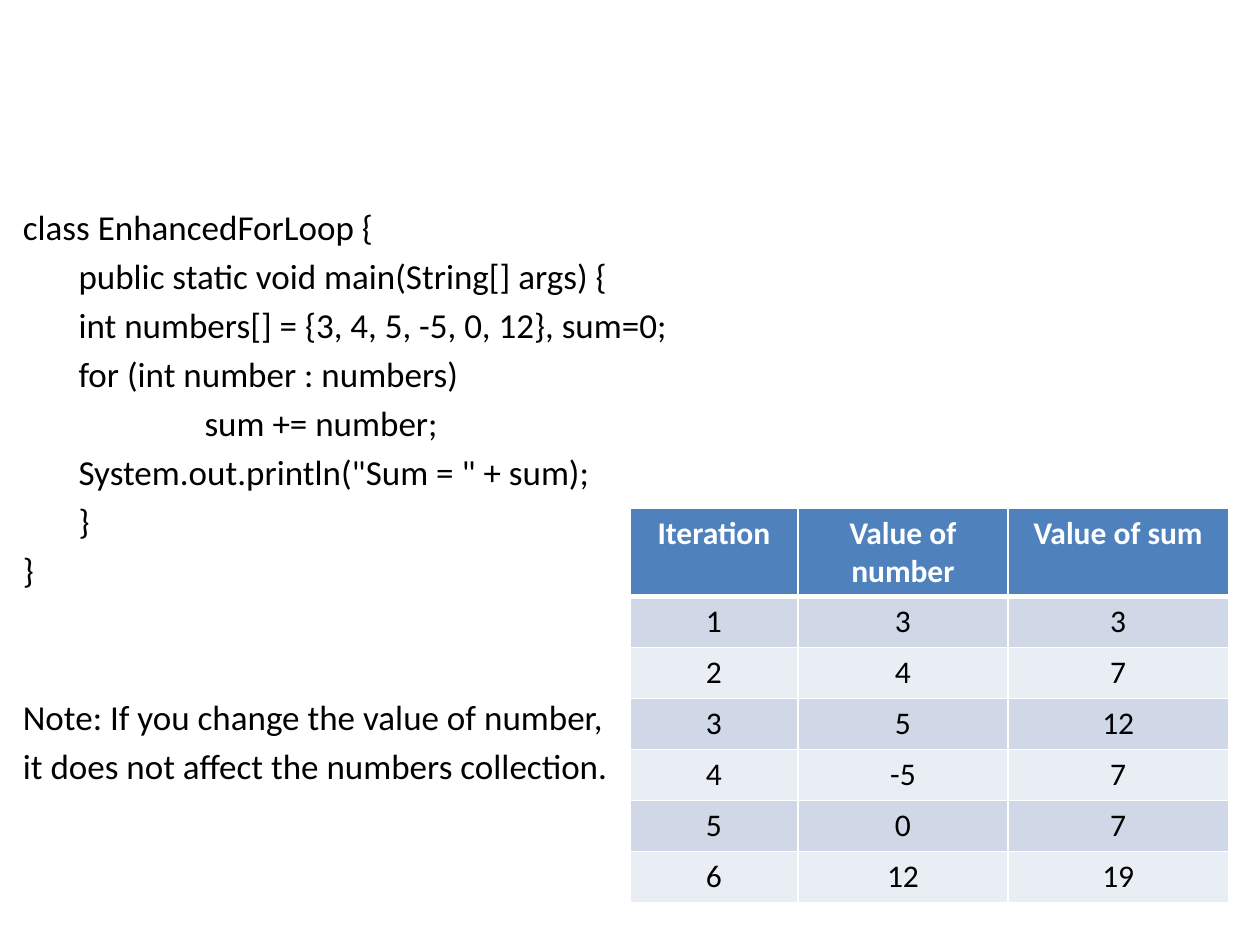
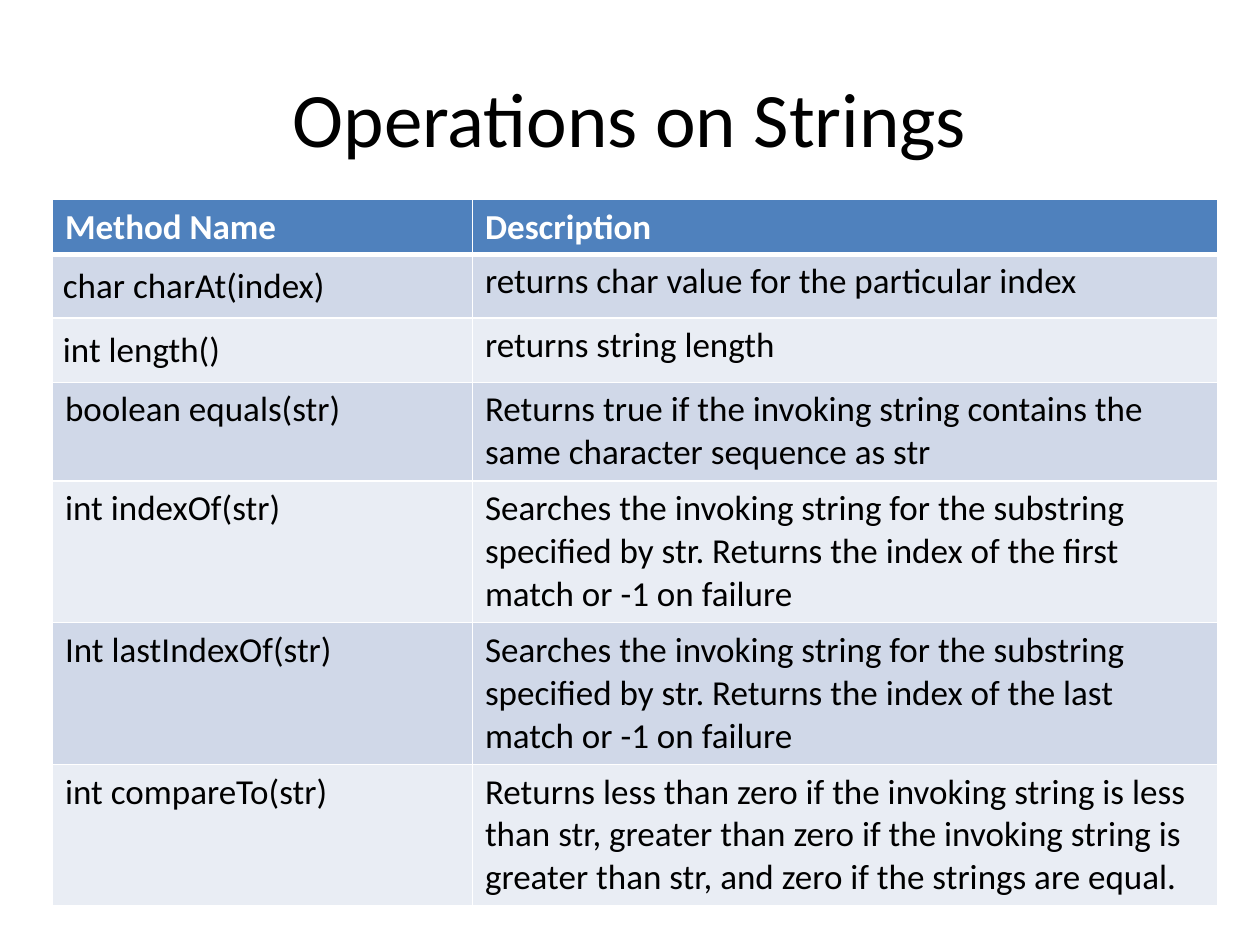
import pptx
import pptx.dml.color
import pptx.enum.text
import pptx.oxml
import pptx.oxml.ns
import pptx.util

WIDTH, HEIGHT = pptx.util.Inches(10), pptx.util.Inches(7.5)
UNIT = WIDTH / 120  # square grid: 120 columns by 90 rows
FONT = "Calibri"
BLACK, WHITE, HEADER = "000000", "FFFFFF", "4F81BD"
BANDS = ("D0D8E8", "E9EDF4")
ALIGN = pptx.enum.text.PP_ALIGN
ANCHOR = pptx.enum.text.MSO_ANCHOR


def color(value):
    return pptx.dml.color.RGBColor.from_string(value)


def grid(count):
    return pptx.util.Emu(round(count * UNIT))


def write(para, text, size, ink=BLACK, bold=False, align=ALIGN.LEFT):
    para.text = text
    para.alignment = align
    for span in para.runs:
        span.font.name = FONT
        span.font.size = pptx.util.Pt(size)
        span.font.bold = bold
        span.font.color.rgb = color(ink)


def add_text_box(page, box):
    frame = page.shapes.add_textbox(*map(grid, box)).text_frame
    frame.word_wrap = True
    return frame


def add_title(page, box, text):
    frame = add_text_box(page, box)
    frame.vertical_anchor = ANCHOR.MIDDLE
    write(frame.paragraphs[0], text, 44, align=ALIGN.CENTER)


def add_code(page, box, lines):
    """Each line is its text, left indent in columns and space before in points."""
    frame = add_text_box(page, box)
    for index, (text, indent, space) in enumerate(lines):
        para = frame.paragraphs[0] if index == 0 else frame.add_paragraph()
        write(para, text, 20)
        para.space_before = pptx.util.Pt(space)
        para._p.get_or_add_pPr().set("marL", str(grid(indent)))


def add_borders(cell, top, bottom):
    """White lines around a cell; top and bottom widths in points."""
    properties = cell._tc.get_or_add_tcPr()
    for side, width in (("L", 1), ("R", 1), ("T", top), ("B", bottom)):
        properties.append(pptx.oxml.parse_xml(
            f'<a:ln{side} {pptx.oxml.ns.nsdecls("a")} w="{pptx.util.Pt(width)}">'
            f'<a:solidFill><a:srgbClr val="{WHITE}"/></a:solidFill></a:ln{side}>'))


def add_banded_table(page, left, top, columns, heights, rows, size, align):
    """Table with a blue header row; column widths and row heights in grid units."""
    box = (left, top, sum(columns), sum(heights))
    table = page.shapes.add_table(len(rows), len(columns), *map(grid, box)).table
    for column, width in zip(table.columns, columns):
        column.width = grid(width)
    for index, (row, height, texts) in enumerate(zip(table.rows, heights, rows)):
        row.height = grid(height)
        is_header = index == 0
        for cell, text in zip(row.cells, texts):
            add_borders(cell, 3 if index == 1 else 1, 3 if is_header else 1)
            cell.fill.solid()
            cell.fill.fore_color.rgb = color(HEADER if is_header else BANDS[(index - 1) % 2])
            write(cell.text_frame.paragraphs[0], text, size,
                  WHITE if is_header else BLACK, is_header, align)
    return table


def build_loop_page(page):
    # Code listing and note
    step, gap = 5.3, 4
    add_code(page, (1, 19, 108, 59.4), [
        ("class EnhancedForLoop {", 0, gap),
        ("public static void main(String[] args) {", step, gap),
        ("int numbers[] = {3, 4, 5, -5, 0, 12}, sum=0;", step, gap),
        ("for (int number : numbers)", step, gap),
        ("sum += number;", step + 12, gap),
        ('System.out.println("Sum = " + sum);', step, gap),
        ("}", step, gap),
        ("}", 0, gap),
        ("Note: If you change the value of number,", 0, 60),
        ("it does not affect the numbers collection.", 0, gap),
    ])

    # Trace of the loop, with the running sum worked out
    rows = [("Iteration", "Value of number", "Value of sum")]
    total = 0
    for iteration, number in enumerate((3, 4, 5, -5, 0, 12), 1):
        total += number
        rows.append((str(iteration), str(number), str(total)))
    add_banded_table(page, 60, 48.4, (16, 20, 21), [8.4] + [4.86] * 6,
                     rows, 18, ALIGN.CENTER)


def build_strings_page(page):
    add_title(page, (6, 3.6, 108, 15), "Operations on Strings")
    search = ("Searches the invoking string for the substring specified by str. "
              "Returns the index of the {} match or -1 on failure")
    rows = [
        ("Method Name", "Description"),
        ("char charAt(index)", "returns char value for the particular index"),
        ("int length()", "returns string length"),
        ("boolean equals(str)", "Returns true if the invoking string contains "
                                "the same character sequence as str"),
        ("int indexOf(str)", search.format("first")),
        ("Int lastIndexOf(str)", search.format("last")),
        ("int compareTo(str)", "Returns less than zero if the invoking string is less than "
                               "str, greater than zero if the invoking string is greater "
                               "than str, and zero if the strings are equal."),
    ]
    heights = [5.2, 6.1, 6.1, 9.4] + [13.5] * 3
    table = add_banded_table(page, 5, 19, (40, 71), heights, rows, 20, ALIGN.LEFT)
    # Even margins in the first two method cells
    for index in (1, 2):
        cell = table.cell(index, 0)
        cell.margin_left = cell.margin_right = grid(1)
        cell.margin_top = cell.margin_bottom = grid(1)


def main():
    deck = pptx.Presentation()
    deck.slide_width, deck.slide_height = WIDTH, HEIGHT
    for build in (build_loop_page, build_strings_page):
        page = deck.slides.add_slide(deck.slide_layouts[6])
        page.background.fill.solid()
        page.background.fill.fore_color.rgb = color(WHITE)
        build(page)
    deck.save("out.pptx")


if __name__ == "__main__":
    main()
